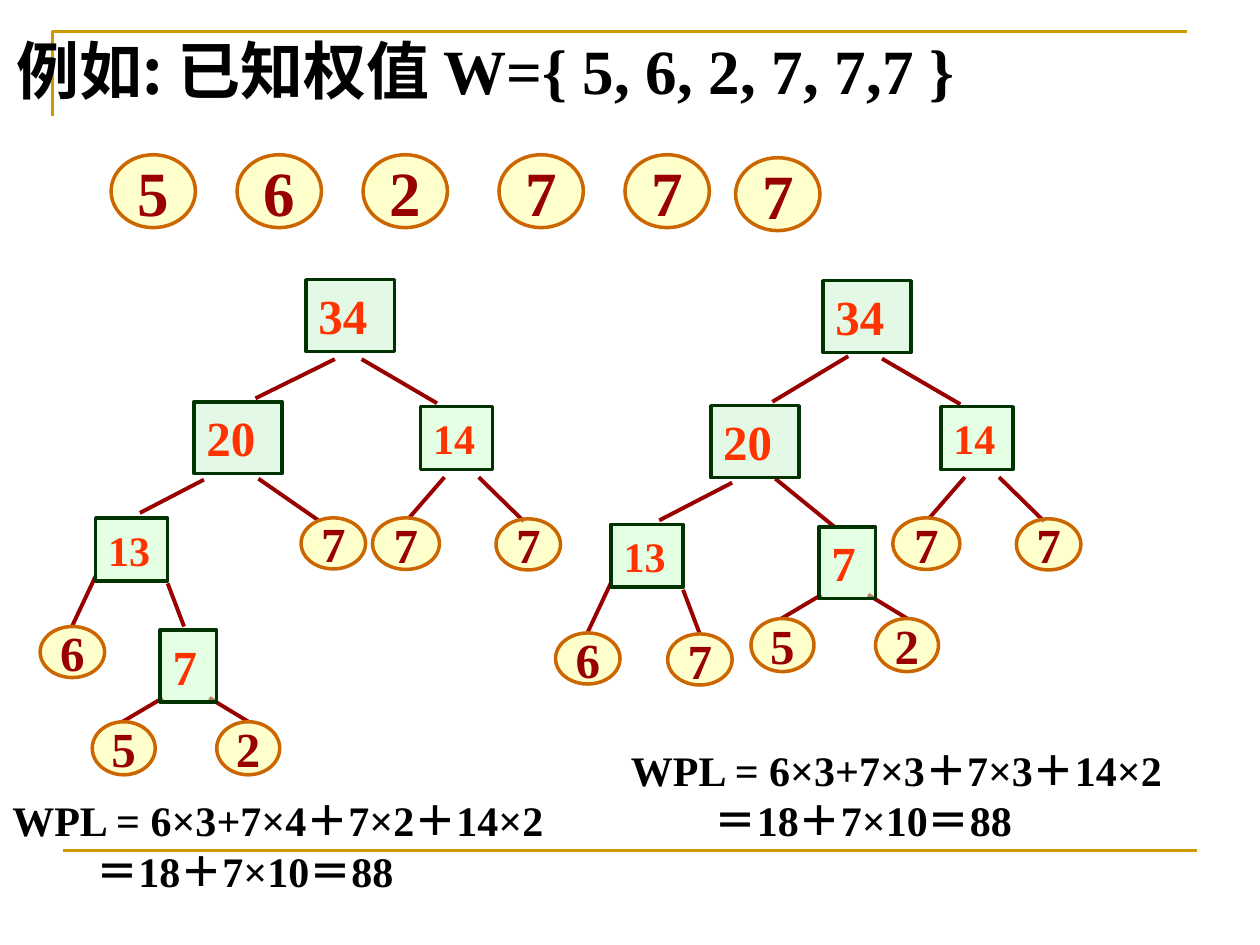
"""Build a slide comparing two Huffman trees for the same weights."""
import pptx
import pptx.dml.color
import pptx.enum.shapes
import pptx.enum.text
import pptx.oxml.ns
import pptx.util
from lxml import etree

Cm, Pt = pptx.util.Cm, pptx.util.Pt
RGBColor = pptx.dml.color.RGBColor
SHAPE = pptx.enum.shapes.MSO_SHAPE
STRAIGHT = pptx.enum.shapes.MSO_CONNECTOR.STRAIGHT
ALIGN = pptx.enum.text.PP_ALIGN
ANCHOR = pptx.enum.text.MSO_ANCHOR
AUTO_SIZE = pptx.enum.text.MSO_AUTO_SIZE
qn = pptx.oxml.ns.qn

GOLD = RGBColor(0xCC, 0x99, 0x00)
BLACK = RGBColor(0x00, 0x00, 0x00)
YELLOW = RGBColor(0xFF, 0xFF, 0x99)
ORANGE = RGBColor(0xCC, 0x66, 0x00)
MAROON = RGBColor(0x99, 0x00, 0x00)
MINT = RGBColor(0xCC, 0xFF, 0xCC)
SAGE = RGBColor(0xCA, 0xF2, 0xCE)
FOREST = RGBColor(0x00, 0x33, 0x00)
RED = RGBColor(0xFF, 0x33, 0x00)
SERIF, HAN = "Times New Roman", "Noto Sans CJK SC"

TITLE = [("例如: 已知权值 ", HAN), ("W={ 5, 6, 2, 7, 7,7 }", SERIF)]
WEIGHTS = [("5", 2.24, 3.12), ("6", 4.78, 3.12), ("2", 7.32, 3.12),
           ("7", 10.06, 3.12), ("7", 12.6, 3.12), ("7", 14.83, 3.18)]
SUMS = [(0, 15.9, ["WPL = 6×3+7×4＋7×2＋14×2", "＝18＋7×10＝88"]),
        (12.47, 14.88, ["WPL = 6×3+7×3＋7×3＋14×2", "＝18＋7×10＝88"])]

CIRCLES = {"weight": (1.7, 1.47, 36), "leaf": (1.3, 1.03, 28),
           "wide": (1.35, 1.04, 28), "low": (1.27, 1.07, 28)}
BOXES = {"34": (1.78, 1.45, 28, SAGE), "20": (1.78, 1.45, 28, SAGE),
         "14": (1.45, 1.27, 24, MINT), "13": (1.45, 1.27, 24, MINT),
         "7": (1.14, 1.45, 28, MINT)}

BRANCHES_14 = [(0.48, 1.42, -0.25, 2.26), (1.17, 1.42, 2.08, 2.31)]
LEAVES_14 = [("7", "wide", -0.97, 2.24), ("7", "leaf", 1.52, 2.26)]
BRANCHES_13 = [(0, 1.17, -0.48, 2.19), (1.45, 1.32, 1.78, 2.19)]
LEAF_6 = ("6", "leaf", -1.12, 2.19)
BRANCHES_7 = [(0.05, 1.37, -0.76, 1.85), (0.99, 1.37, 1.78, 1.85)]
LEAVES_7 = [("5", "low", -1.37, 1.85), ("2", "low", 1.14, 1.85)]

LEFT_TREE = [
    ("34", 6.17, 5.64, [(0.58, 1.6, -1.02, 2.39), (1.12, 1.6, 2.64, 2.49)], []),
    ("20", 3.91, 8.1, [(0.2, 1.57, -1.09, 2.24), (1.3, 1.55, 2.51, 2.39)],
     [("7", "leaf", 2.16, 2.34)]),
    ("14", 8.48, 8.2, BRANCHES_14, LEAVES_14),
    ("13", 1.93, 10.44, BRANCHES_13, [LEAF_6]),
    ("7", 3.23, 12.7, BRANCHES_7, LEAVES_7),
]
RIGHT_TREE = [
    ("34", 16.59, 5.66, [(0.51, 1.52, -1.02, 2.44), (1.19, 1.57, 2.77, 2.49)], []),
    ("20", 14.33, 8.18, [(0.43, 1.55, -1.04, 2.31), (1.3, 1.47, 2.49, 2.44)], []),
    ("14", 18.97, 8.2, BRANCHES_14, LEAVES_14),
    ("13", 12.32, 10.57, BRANCHES_13, [LEAF_6, ("7", "leaf", 1.14, 2.21)]),
    ("7", 16.51, 10.62, BRANCHES_7, LEAVES_7),
]


def write(paragraph, text, *, size, color=BLACK, font=SERIF, align=ALIGN.LEFT):
    paragraph.alignment = align
    run = paragraph.add_run()
    run.text = text
    run.font.size = Pt(size)
    run.font.bold = True
    run.font.color.rgb = color
    run.font.name = font
    if font == HAN:
        east_asian = etree.SubElement(run._r.get_or_add_rPr(), qn("a:ea"))
        east_asian.set("typeface", font)


def add_line(slide, x1, y1, x2, y2, color, width):
    line = slide.shapes.add_connector(STRAIGHT, Cm(x1), Cm(y1), Cm(x2), Cm(y2))
    line.line.color.rgb = color
    line.line.width = Pt(width)
    etree.SubElement(line._element.spPr, qn("a:effectLst"))


def add_node(slide, preset, left, top, width, height, fill, outline):
    node = slide.shapes.add_shape(preset, Cm(left), Cm(top), Cm(width), Cm(height))
    node.shadow.inherit = False
    node.fill.solid()
    node.fill.fore_color.rgb = fill
    tint = node._element.spPr.find(qn("a:solidFill"))[0]
    etree.SubElement(tint, qn("a:alpha")).set("val", "50000")
    node.line.color.rgb = outline
    node.line.width = Pt(2)
    return node.text_frame


def add_circle(slide, label, kind, left, top):
    width, height, size = CIRCLES[kind]
    frame = add_node(slide, SHAPE.OVAL, left, top, width, height, YELLOW, ORANGE)
    frame.word_wrap = False
    frame.vertical_anchor = ANCHOR.MIDDLE
    write(frame.paragraphs[0], label, size=size, color=MAROON, align=ALIGN.CENTER)


def add_box(slide, label, left, top):
    width, height, size, fill = BOXES[label]
    frame = add_node(slide, SHAPE.RECTANGLE, left, top, width, height, fill, FOREST)
    frame.word_wrap = True
    frame.vertical_anchor = ANCHOR.TOP
    write(frame.paragraphs[0], label, size=size, color=RED)


def add_tree(slide, tree):
    for label, left, top, branches, leaves in tree:
        for x1, y1, x2, y2 in branches:
            add_line(slide, left + x1, top + y1, left + x2, top + y2, MAROON, 2.25)
        for leaf, kind, dx, dy in leaves:
            add_circle(slide, leaf, kind, left + dx, top + dy)
    for label, left, top, branches, leaves in tree:
        add_box(slide, label, left, top)


def add_text_frame(slide, left, top, width, height, wrap):
    frame = slide.shapes.add_textbox(Cm(left), Cm(top), Cm(width), Cm(height)).text_frame
    frame.word_wrap = wrap
    frame.auto_size = AUTO_SIZE.SHAPE_TO_FIT_TEXT
    return frame


def add_frame_lines(slide):
    builder = slide.shapes.build_freeform(Cm(1.06), Cm(2.33))
    builder.add_line_segments([(Cm(1.06), Cm(0.63)), (Cm(23.92), Cm(0.63))], close=False)
    corner = builder.convert_to_shape()
    corner.shadow.inherit = False
    corner.fill.background()
    corner.line.color.rgb = GOLD
    corner.line.width = Pt(1.5)
    add_line(slide, 1.27, 17.14, 24.13, 17.14, GOLD, 1.5)


def main():
    deck = pptx.Presentation()
    deck.slide_width, deck.slide_height = Cm(25.4), Cm(19.05)
    slide = deck.slides.add_slide(deck.slide_layouts[6])
    add_frame_lines(slide)

    title = add_text_frame(slide, 0.08, 0.51, 21.49, 1.78, False)
    for text, font in TITLE:
        write(title.paragraphs[0], text, size=36, font=font)

    for label, left, top in WEIGHTS:
        add_circle(slide, label, "weight", left, top)
    for tree in (LEFT_TREE, RIGHT_TREE):
        add_tree(slide, tree)

    for left, top, (first, second) in SUMS:
        total = add_text_frame(slide, left, top, 14.68, 2.29, True)
        write(total.paragraphs[0], first, size=24)
        result = total.add_paragraph()
        result._p.get_or_add_pPr().set("marL", str(Pt(48)))
        write(result, second, size=24)

    deck.save("out.pptx")


if __name__ == "__main__":
    main()
